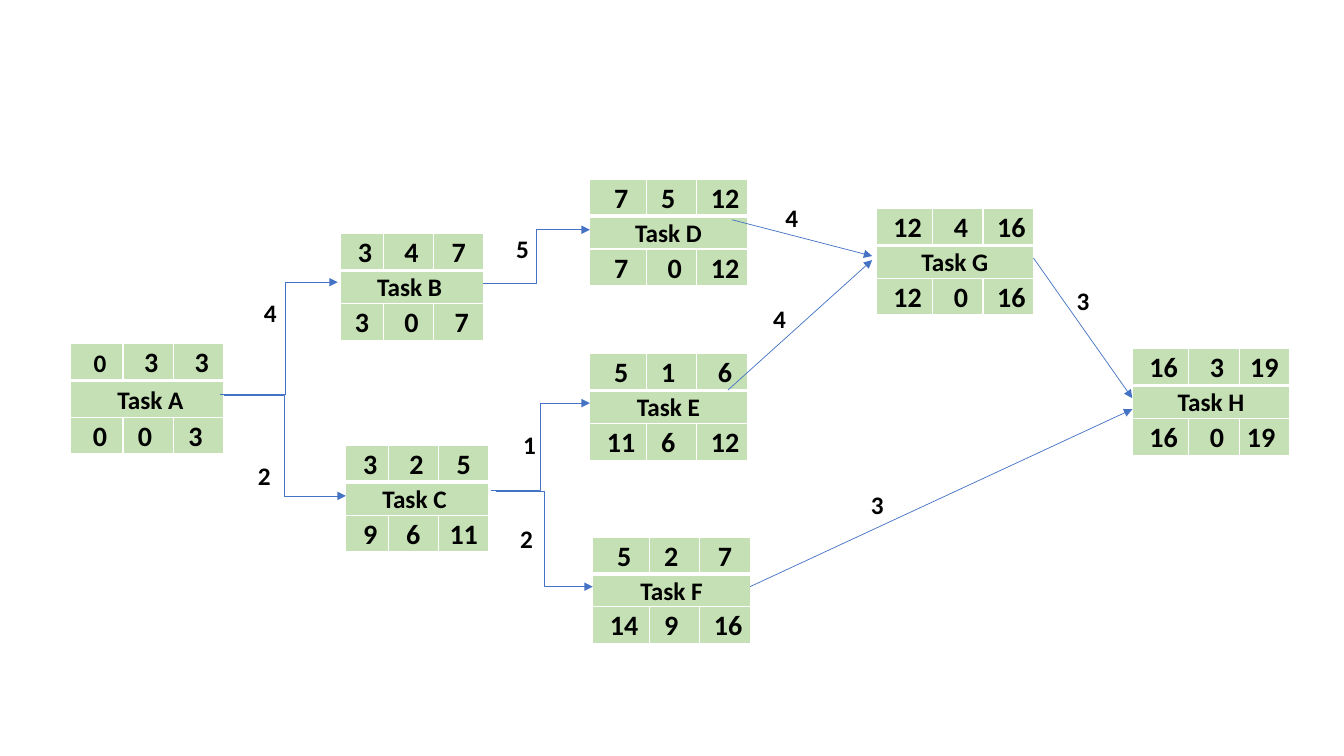
import pptx
import pptx.dml.color
import pptx.enum.shapes
import pptx.enum.text
import pptx.oxml
import pptx.oxml.ns
import pptx.util
from lxml import etree
from pptx.util import Inches

COLORS = {"cell": "C5E0B4", "border": "FFFFFF", "text": "000000", "arrow": "4472C4"}
FONT = "Calibri"
NUMBER_SIZE, NAME_SIZE = 20, 18
DAY_WIDTH = 0.5

# Task: left, top, first column width, early row, name, late row.
# A cell is a text, or a list of (text, size) runs.
TASKS = [
    (3.38, 2.32, 0.42, [" 3", " 4", "7"], "Task B ", ["3", " 0", " 7"]),
    (0.70, 3.41, 0.52, [[(" ", NUMBER_SIZE), ("0", NAME_SIZE)], " 3", " 3"],
     [(" ", NUMBER_SIZE), ("Task A", NAME_SIZE)], [" 0", "0 ", "3 "]),
    (3.43, 4.42, 0.42, [" 3", " 2", "5"], "Task C ", [" 9", "6", "11"]),
    (5.85, 1.78, 0.56, [" 7", "5 ", " 12"], "Task D", [" 7", " 0", " 12"]),
    (8.69, 2.07, 0.56, [" 12", " 4", " 16"], "Task G", [" 12", " 0", " 16"]),
    (11.23, 3.46, 0.56, [" 16", " 3", "19"], "Task H", [" 16", " 0", "19 "]),
    (5.85, 3.51, 0.56, [" 5", "1 ", " 6"], "Task E", [" 11", "6 ", " 12"]),
    (5.88, 5.33, 0.56, [" 5", "2 ", "7"], "Task F", [" 14", "9 ", " 16"]),
]

# Elbow arrow: start, end, position of the bend along the width
ELBOWS = [
    ((2.18, 3.91), (3.35, 2.80), 0.56),
    ((2.22, 3.92), (3.43, 4.92), 0.5),
    ((4.79, 2.81), (5.85, 2.28), 0.5),
    ((4.87, 4.87), (5.85, 4.00), 0.5),
    ((4.92, 4.87), (5.88, 5.82), 0.5),
]

STRAIGHTS = [
    ((7.26, 2.18), (8.65, 2.54)),
    ((7.22, 3.87), (8.65, 2.58)),
    ((10.25, 2.56), (11.23, 3.95)),
    ((7.44, 5.82), (11.23, 4.06)),
]

# Duration: text, left, top
DURATIONS = [
    ("4", 2.52, 2.90), ("2", 2.46, 4.52), ("1", 5.09, 4.21),
    ("2", 5.06, 5.14), ("5", 5.02, 2.27), ("4", 7.57, 2.96),
    ("4", 7.69, 1.96), ("3", 8.54, 4.81), ("3", 10.58, 2.78),
]


def rgb(name):
    return pptx.dml.color.RGBColor.from_string(COLORS[name])


def add_run(paragraph, text, size):
    run = paragraph.add_run()
    run.text = text
    run.font.name = FONT
    run.font.size = pptx.util.Pt(size)
    run.font.bold = True
    run.font.color.rgb = rgb("text")


def set_borders(cell, bottom_width):
    properties = cell._tc.get_or_add_tcPr()
    widths = {"lnL": 1, "lnR": 1, "lnT": 1, "lnB": bottom_width}
    for position, (side, width) in enumerate(widths.items()):
        border = pptx.oxml.parse_xml(
            f'<a:{side} {pptx.oxml.ns.nsdecls("a")} w="{pptx.util.Pt(width)}">'
            f'<a:solidFill><a:srgbClr val="{COLORS["border"]}"/></a:solidFill></a:{side}>')
        properties.insert(position, border)


def fill_cell(cell, content, size):
    cell.margin_left = cell.margin_right = Inches(0.07)
    cell.margin_top = cell.margin_bottom = 0
    paragraph = cell.text_frame.paragraphs[0]
    paragraph.alignment = pptx.enum.text.PP_ALIGN.CENTER
    paragraph.line_spacing = 1.07
    runs = [(content, size)] if isinstance(content, str) else content
    for text, run_size in runs:
        add_run(paragraph, text, run_size)


def add_task(slide, left, top, first_width, early, name, late):
    widths = [first_width, DAY_WIDTH, DAY_WIDTH]
    name_height = 0.31 if isinstance(name, str) else 0.34
    heights = [0.34, name_height, 0.34]
    frame = slide.shapes.add_table(3, 3, Inches(left), Inches(top),
                                   Inches(sum(widths)), Inches(sum(heights)))
    table = frame.table
    for column, width in zip(table.columns, widths):
        column.width = Inches(width)
    for index, (row, height) in enumerate(zip(table.rows, heights)):
        row.height = Inches(height)
        for cell in row.cells:
            cell.fill.solid()
            cell.fill.fore_color.rgb = rgb("cell")
            set_borders(cell, 3 if index == 0 else 1)
    table.cell(1, 0).merge(table.cell(1, 2))
    fill_cell(table.cell(1, 0), name, NAME_SIZE)
    for index, days in ((0, early), (2, late)):
        for column, day in enumerate(days):
            fill_cell(table.cell(index, column), day, NUMBER_SIZE)


def add_arrow(slide, kind, start, end):
    arrow = slide.shapes.add_connector(kind, *map(Inches, start + end))
    arrow.line.color.rgb = rgb("arrow")
    arrow.line.width = pptx.util.Pt(0.5)
    tail = etree.SubElement(arrow.line._get_or_add_ln(), pptx.oxml.ns.qn("a:tailEnd"))
    tail.set("type", "triangle")
    etree.SubElement(arrow._element.spPr, pptx.oxml.ns.qn("a:effectLst"))
    return arrow


def add_elbow(slide, start, end, bend):
    elbow = add_arrow(slide, pptx.enum.shapes.MSO_CONNECTOR.ELBOW, start, end)
    geometry = elbow._element.spPr.find(pptx.oxml.ns.qn("a:prstGeom"))
    guide = etree.SubElement(geometry.get_or_add_avLst(), pptx.oxml.ns.qn("a:gd"))
    guide.set("name", "adj1")
    guide.set("fmla", f"val {round(bend * 100000)}")


def add_duration(slide, text, left, top):
    label = slide.shapes.add_textbox(Inches(left), Inches(top), Inches(0.53), Inches(0.4))
    label.text_frame.word_wrap = True
    label.text_frame.auto_size = pptx.enum.text.MSO_AUTO_SIZE.SHAPE_TO_FIT_TEXT
    add_run(label.text_frame.paragraphs[0], text, NAME_SIZE)


def main():
    deck = pptx.Presentation()
    deck.slide_width, deck.slide_height = Inches(13.33), Inches(7.5)
    slide = deck.slides.add_slide(deck.slide_layouts[6])

    # Task boxes
    for task in TASKS:
        add_task(slide, *task)

    # Dependencies
    for elbow in ELBOWS:
        add_elbow(slide, *elbow)
    for start, end in STRAIGHTS:
        add_arrow(slide, pptx.enum.shapes.MSO_CONNECTOR.STRAIGHT, start, end)

    # Durations on the arrows
    for duration in DURATIONS:
        add_duration(slide, *duration)

    deck.save("out.pptx")


if __name__ == "__main__":
    main()
